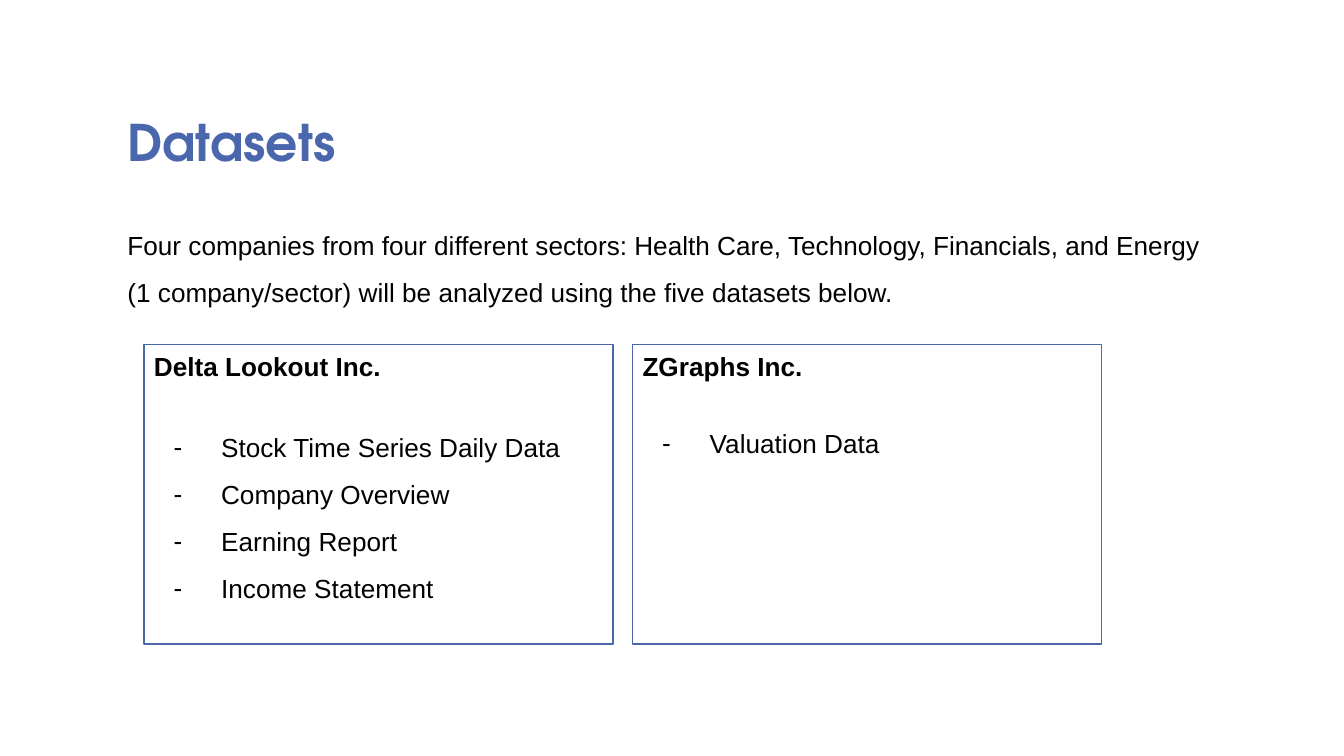
from dataclasses import dataclass

from lxml.etree import SubElement
from pptx import Presentation
from pptx.dml.color import RGBColor
from pptx.enum.shapes import MSO_SHAPE
from pptx.enum.text import MSO_ANCHOR, PP_ALIGN
from pptx.oxml.ns import qn
from pptx.util import Emu, Pt

BLUE = RGBColor(0x4A, 0x66, 0xAC)
BLACK = RGBColor(0, 0, 0)
BODY_FONT = "Arial"
TITLE_FONT = "TeX Gyre Adventor"
EMU_PER_PX = 9525  # 96 px to the inch


def px(length: int) -> Emu:
    return Emu(length * EMU_PER_PX)


@dataclass
class Source:
    provider: str
    datasets: list[str]
    heading_gap: float  # points below the provider name


SOURCES = [
    Source("Delta Lookout Inc.",
           ["Stock Time Series Daily Data", "Company Overview",
            "Earning Report", "Income Statement"], 18.5),
    Source("ZGraphs Inc.", ["Valuation Data"], 16.5),
]
CARD_LEFT, CARD_TOP, CARD_WIDTH, CARD_HEIGHT = 103, 246, 335, 214
CARD_PITCH = CARD_WIDTH + 14


def set_frame(frame, anchor: MSO_ANCHOR) -> None:
    frame.word_wrap = True
    frame.vertical_anchor = anchor
    frame.margin_left = frame.margin_right = px(7)
    frame.margin_top = frame.margin_bottom = px(4)


def write(paragraph, text: str, size: int = 14, font: str = BODY_FONT,
          color: RGBColor = BLACK, bold: bool = False,
          spacing: float = 1.0) -> None:
    paragraph.text = text
    paragraph.alignment = PP_ALIGN.LEFT
    paragraph.line_spacing = spacing
    for run in paragraph.runs:
        run.font.size = Pt(size)
        run.font.name = font
        run.font.bold = bold
        run.font.color.rgb = color


def add_dash(paragraph) -> None:
    properties = paragraph._p.get_or_add_pPr()
    properties.set("marL", str(px(48)))
    properties.set("indent", str(px(-34)))
    bullet_color = SubElement(properties, qn("a:buClr"))
    SubElement(bullet_color, qn("a:srgbClr")).set("val", str(BLACK))
    SubElement(properties, qn("a:buFont")).set("typeface", BODY_FONT)
    SubElement(properties, qn("a:buChar")).set("char", "-")


def add_text(slide, left: int, top: int, width: int, height: int,
             anchor: MSO_ANCHOR, text: str, **style) -> None:
    box = slide.shapes.add_textbox(px(left), px(top), px(width), px(height))
    set_frame(box.text_frame, anchor)
    write(box.text_frame.paragraphs[0], text, **style)


def add_card(slide, left: int, source: Source) -> None:
    card = slide.shapes.add_shape(MSO_SHAPE.RECTANGLE, px(left), px(CARD_TOP),
                                  px(CARD_WIDTH), px(CARD_HEIGHT))
    card.shadow.inherit = False
    card.fill.background()
    card.line.color.rgb = BLUE
    card.line.width = Pt(0.75)
    set_frame(card.text_frame, MSO_ANCHOR.TOP)
    heading = card.text_frame.paragraphs[0]
    write(heading, source.provider, bold=True)
    heading.space_after = Pt(source.heading_gap)
    for dataset in source.datasets:
        item = card.text_frame.add_paragraph()
        write(item, dataset, spacing=1.5)
        add_dash(item)


def main() -> None:
    presentation = Presentation()
    presentation.slide_width, presentation.slide_height = px(960), px(540)
    slide = presentation.slides.add_slide(presentation.slide_layouts[6])

    # Title and introduction
    add_text(slide, 84, 42, 684, 84, MSO_ANCHOR.BOTTOM, "Datasets", size=27,
             font=TITLE_FONT, color=BLUE, bold=True, spacing=0.8)
    add_text(slide, 84, 144, 793, 84, MSO_ANCHOR.MIDDLE,
             "Four companies from four different sectors: Health Care, "
             "Technology, Financials, and Energy (1 company/sector) will be "
             "analyzed using the five datasets below.", spacing=1.5)

    # One card per data provider
    for index, source in enumerate(SOURCES):
        add_card(slide, CARD_LEFT + index * CARD_PITCH, source)

    presentation.save("out.pptx")


if __name__ == "__main__":
    main()
